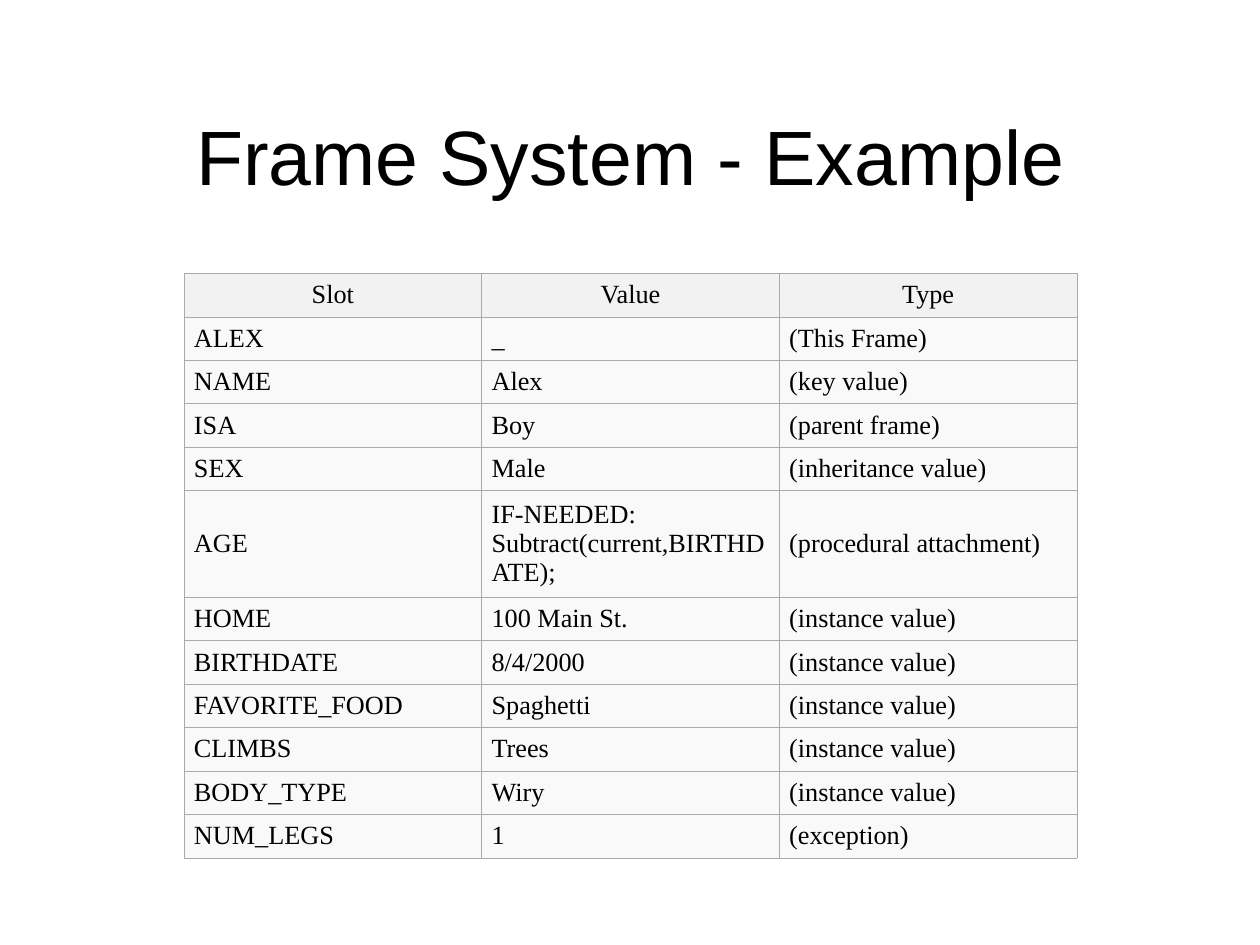
from pptx import Presentation
from pptx.dml.color import RGBColor as RGB
from pptx.enum.text import MSO_ANCHOR as Anchor, PP_ALIGN as Align
from pptx.oxml import parse_xml
from pptx.oxml.ns import nsdecls
from pptx.util import Cm, Pt

BLACK = RGB(0x00, 0x00, 0x00)
HEAD = RGB(0xF2, 0xF2, 0xF2)
BODY = RGB(0xF9, 0xF9, 0xF9)
EDGE = RGB(0xAA, 0xAA, 0xAA)

COL, ROW, TALL = Cm(6), Cm(0.85), Cm(2.12)
ROWS = [
    ("Slot", "Value", "Type"),
    ("ALEX", "_", "(This Frame)"),
    ("NAME", "Alex", "(key value)"),
    ("ISA", "Boy", "(parent frame)"),
    ("SEX", "Male", "(inheritance value)"),
    ("AGE", "IF-NEEDED: Subtract(current,BIRTHDATE);", "(procedural attachment)"),
    ("HOME", "100 Main St.", "(instance value)"),
    ("BIRTHDATE", "8/4/2000", "(instance value)"),
    ("FAVORITE_FOOD", "Spaghetti", "(instance value)"),
    ("CLIMBS", "Trees", "(instance value)"),
    ("BODY_TYPE", "Wiry", "(instance value)"),
    ("NUM_LEGS", "1", "(exception)"),
]


def style(para, face, size, align):
    para.alignment = align
    for run in para.runs:
        font = run.font
        font.name, font.size = face, Pt(size)
        font.color.rgb = BLACK


def add_title(slide, text):
    box = slide.shapes.add_textbox(Cm(1.73), Cm(1.65), Cm(21.97), Cm(3.12))
    frame = box.text_frame
    frame.word_wrap = True
    frame.vertical_anchor = Anchor.MIDDLE
    frame.margin_left = frame.margin_right = 0
    frame.margin_top = frame.margin_bottom = 0
    frame.text = text
    para = frame.paragraphs[0]
    para.line_spacing = 0.95
    style(para, "Arial", 44, Align.CENTER)


def add_edges(cell):
    props = cell._tc.get_or_add_tcPr()
    for side in "LRTB":
        props.append(parse_xml(
            f'<a:ln{side} {nsdecls("a")} w="{Pt(0.28)}"><a:solidFill>'
            f'<a:srgbClr val="{EDGE}"/></a:solidFill></a:ln{side}>'))


def fill_cell(cell, text, fill, align):
    cell.text_frame.text = text
    cell.vertical_anchor = Anchor.MIDDLE
    cell.margin_left = cell.margin_right = Cm(0.2)
    cell.margin_top = cell.margin_bottom = Cm(0.12)
    add_edges(cell)
    cell.fill.solid()
    cell.fill.fore_color.rgb = fill
    style(cell.text_frame.paragraphs[0], "Times New Roman", 15, align)


def add_grid(slide, rows):
    count, width = len(rows), len(rows[0])
    grid = slide.shapes.add_table(
        count, width, Cm(3.71), Cm(5.51), COL * width, ROW * (count - 1) + TALL).table
    for col in grid.columns:
        col.width = COL
    for i, row in enumerate(rows):
        grid.rows[i].height = TALL if row[0] == "AGE" else ROW
        fill, align = (BODY, Align.LEFT) if i else (HEAD, Align.CENTER)
        for j, text in enumerate(row):
            fill_cell(grid.cell(i, j), text, fill, align)


def main():
    """Build the frame system slide and save it."""
    deck = Presentation()
    deck.slide_width, deck.slide_height = Cm(25.4), Cm(19.05)
    slide = deck.slides.add_slide(deck.slide_layouts[6])
    add_title(slide, "Frame System - Example")
    add_grid(slide, ROWS)
    deck.save("out.pptx")


if __name__ == "__main__":
    main()
